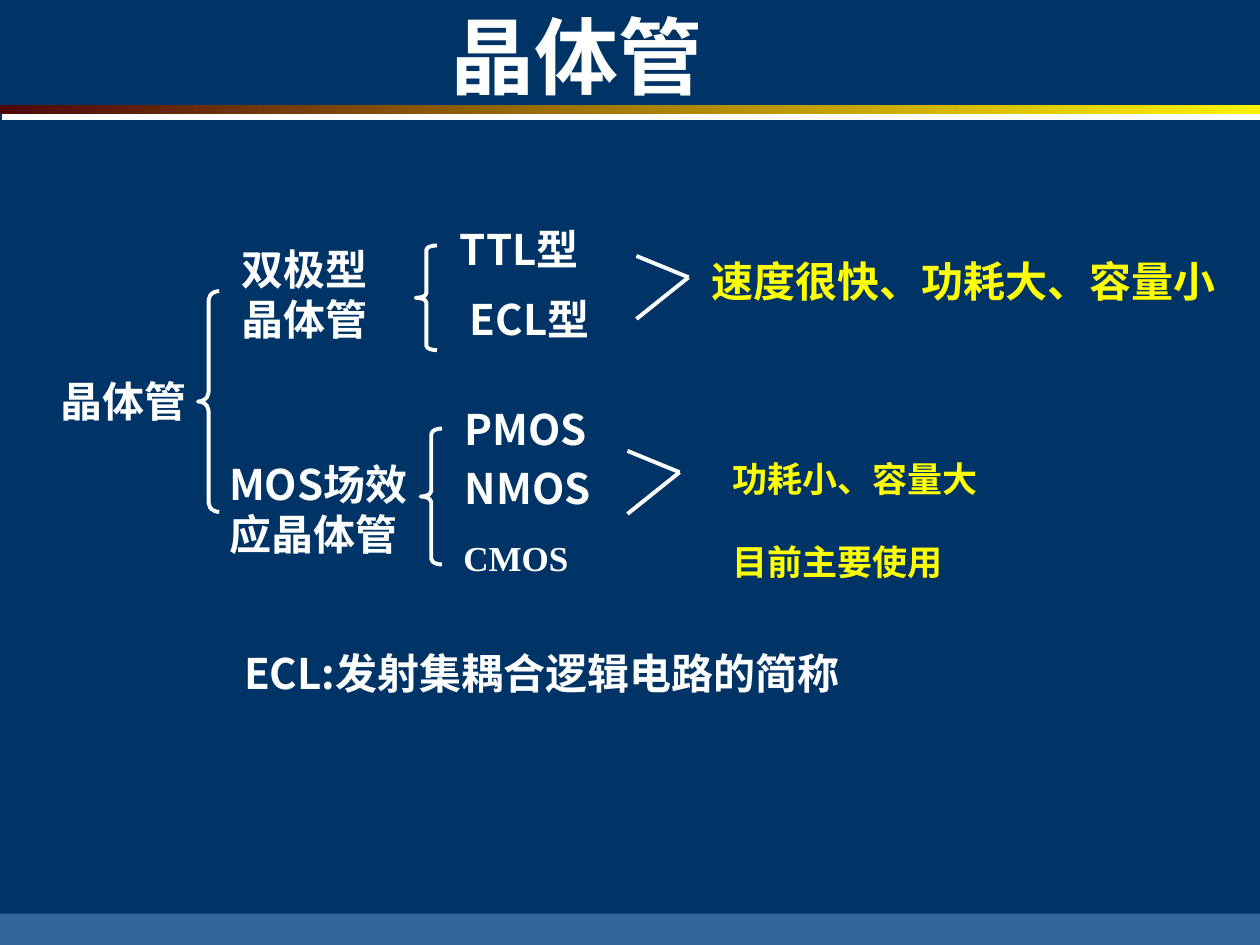
from pptx import Presentation
from pptx.dml.color import RGBColor
from pptx.enum.shapes import MSO_CONNECTOR as Link, MSO_SHAPE as Shape
from pptx.enum.text import PP_ALIGN as Align
from pptx.oxml import parse_xml
from pptx.oxml.ns import nsdecls
from pptx.oxml.xmlchemy import OxmlElement as Elem
from pptx.util import Cm, Pt

WHITE, YELLOW = "FFFFFF", "FFFF00"
SANS, SERIF = "Noto Sans CJK SC", "Times New Roman"


def color(text):
    return RGBColor.from_string(text)


def label(slide, text, x, y, w, size=24, tint=WHITE, face=SANS, align=Align.LEFT, h=1.27):
    box = slide.shapes.add_textbox(Cm(x), Cm(y), Cm(w), Cm(h))
    box.text_frame.word_wrap = True
    para = box.text_frame.paragraphs[0]
    para.text = text
    para.alignment = align
    font = para.font
    font.name, font.size, font.bold = face, Pt(size), True
    font.color.rgb = color(tint)
    # East Asian face for the Chinese characters
    east = Elem("a:ea")
    east.set("typeface", SANS)
    para._p.pPr[-1].append(east)


def rect(slide, x, y, w, h):
    bar = slide.shapes.add_shape(Shape.RECTANGLE, Cm(x), Cm(y), Cm(w), Cm(h))
    bar.shadow.inherit = False
    bar.line.fill.background()
    return bar


def brace(slide, x, y, h, w=0.43):
    item = slide.shapes.add_shape(Shape.LEFT_BRACE, Cm(x), Cm(y), Cm(w), Cm(h))
    item.shadow.inherit = False
    item.fill.background()
    item.line.color.rgb = color(WHITE)
    item.line.width = Pt(2.25)
    item.adjustments[0] = h / 24 / w


def wedge(slide, x, y):
    # Two lines that meet at the right
    for top in (0, 1.27):
        line = slide.shapes.add_connector(
            Link.STRAIGHT, Cm(x), Cm(y + top), Cm(x + 1.05), Cm(y + 0.43))
        line.line.color.rgb = color(WHITE)
        line.line.width = Pt(2.25)
        line._element.spPr.append(Elem("a:effectLst"))


def frame(slide, w, h):
    # Footer band
    foot = rect(slide, 0, h - 0.63, w, 0.63)
    foot.fill.solid()
    foot.fill.fore_color.rgb = color("336699")
    # Gradient rule with a hard white shadow
    rule = rect(slide, 0, 2.11, w, 0.2)
    rule.fill.gradient()
    rule.fill.gradient_angle = 0
    for stop, tint in zip(rule.fill.gradient_stops, ("4D0808", "FFF200")):
        stop.color.rgb = color(tint)
    props = rule._element.spPr
    props.remove(props[-1])
    props.append(parse_xml(
        f'<a:effectLst {nsdecls("a")}><a:outerShdw dist="{Pt(3.2)}" dir="{72 * 60000}" '
        f'algn="ctr" rotWithShape="0"><a:srgbClr val="{WHITE}"/></a:outerShdw></a:effectLst>'))
    # Title
    label(slide, "晶体管", 8.84, -0.03, 7.72, size=48, face=SERIF, h=2.29)


def root(slide, x, y):
    label(slide, "晶体管", x, y + 1.57, 3.38, face=SERIF)
    brace(slide, x + 3.02, y, 4.45)


def bipolar(slide, x, y):
    label(slide, "双极型晶体管", x, y + 0.39, 3.81, h=2.29)
    brace(slide, x + 3.76, y + 0.56, 2.11)
    label(slide, "TTL型", x + 4.4, y, 6.35)
    label(slide, "ECL型", x + 4.6, y + 1.4, 5.28)
    wedge(slide, x + 8.21, y + 0.77)
    label(slide, "速度很快、功耗大、容量小", x + 9.48, y + 0.64, 11.86, tint=YELLOW)


def mos(slide, x, y):
    label(slide, "MOS场效应晶体管", x, y + 1.12, 4.88, h=2.29)
    brace(slide, x + 4.11, y + 0.64, 2.74)
    label(slide, "PMOS", x + 4.75, y, 4.88)
    label(slide, "NMOS", x + 4.75, y + 1.19, 4.88)
    label(slide, "CMOS", x + 4.34, y + 2.69, 3.38, 20, face=SERIF, align=Align.CENTER, h=1.12)
    wedge(slide, x + 8.28, y + 1.09)
    for text, top in (("功耗小、容量大", 1.09), ("目前主要使用", 2.77)):
        label(slide, text, x + 10.15, y + top, 6.99, 20, YELLOW, h=1.12)


def main():
    deck = Presentation()
    deck.slide_width, deck.slide_height = Cm(25.4), Cm(19.05)
    slide = deck.slides.add_slide(deck.slide_layouts[6])
    slide.background.fill.solid()
    slide.background.fill.fore_color.rgb = color("003366")
    frame(slide, 25.4, 19.05)
    # Tree of transistor types
    root(slide, 0.97, 5.87)
    bipolar(slide, 4.62, 4.39)
    mos(slide, 4.37, 8)
    # Note on the abbreviation
    label(slide, "ECL:发射集耦合逻辑电路的简称", 4.67, 12.93, 13.77)
    deck.save("out.pptx")


if __name__ == "__main__":
    main()
